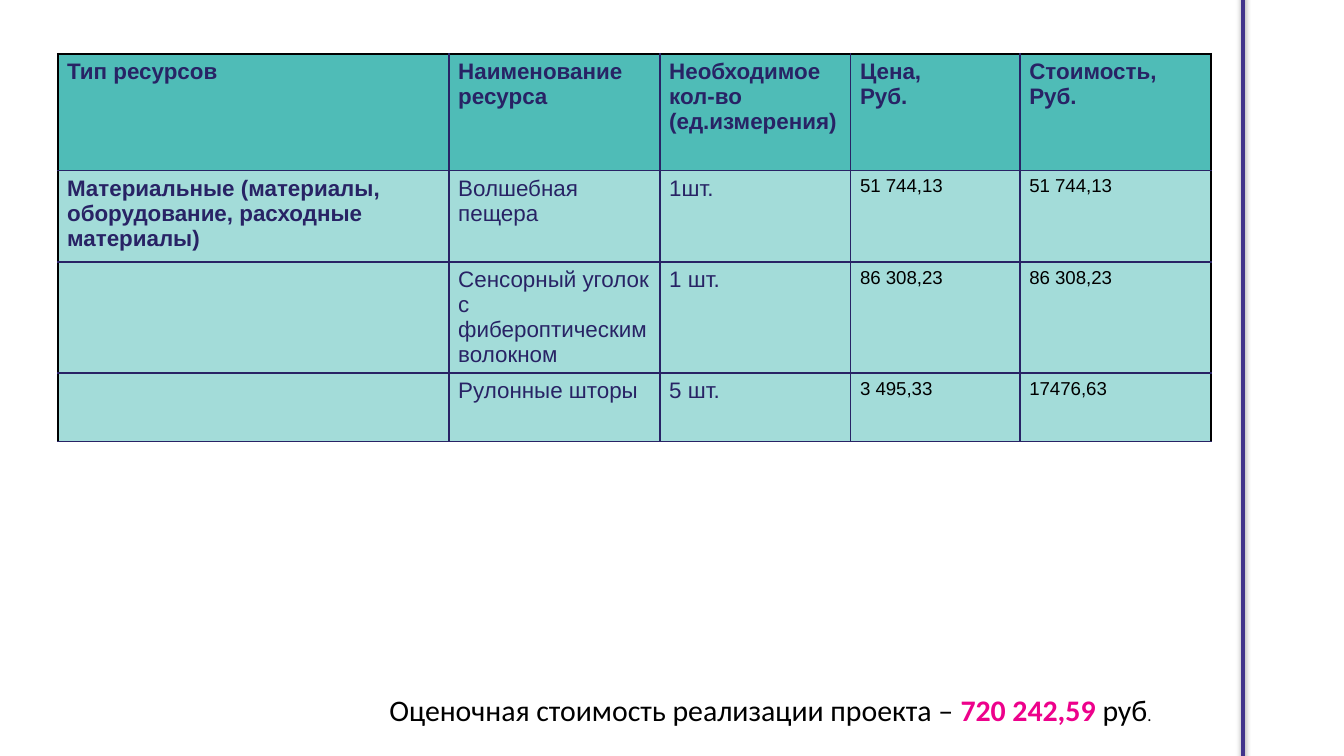
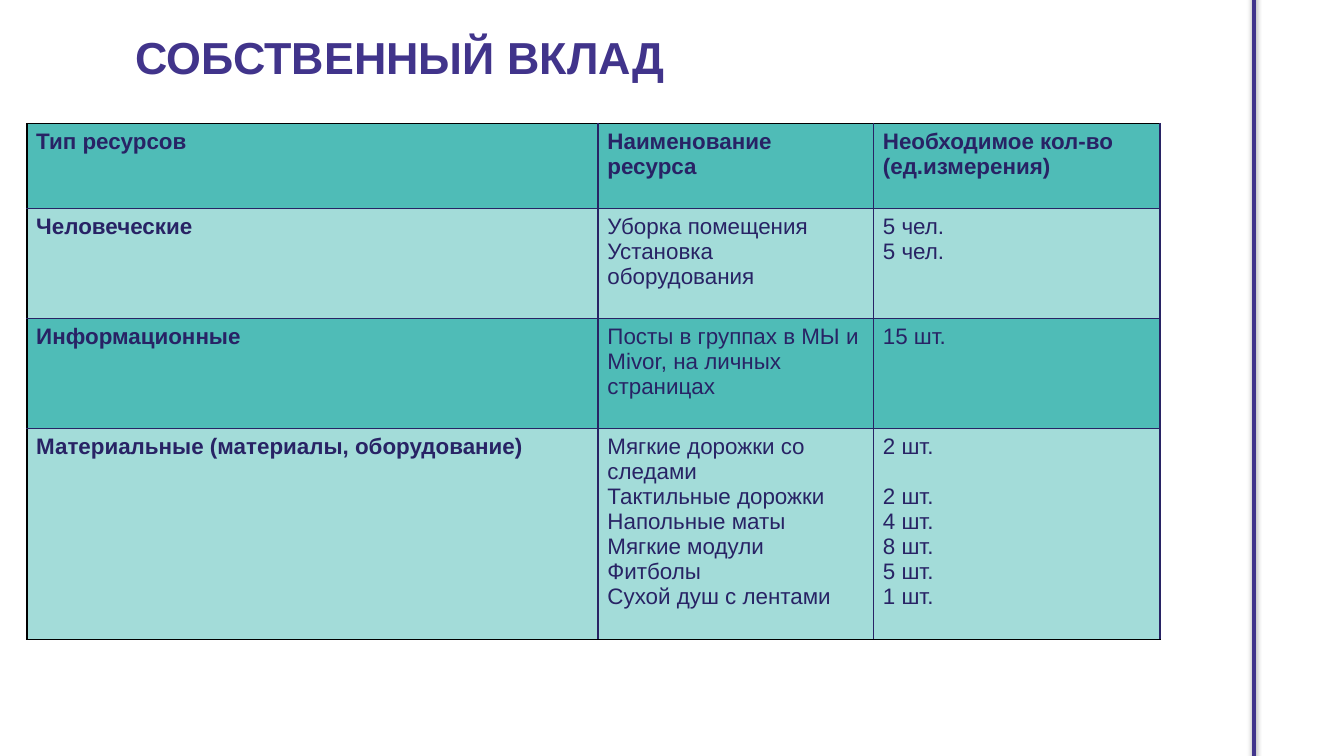
import lxml.etree
import pptx
import pptx.dml.color
import pptx.enum.shapes
import pptx.enum.text
import pptx.oxml.ns
import pptx.util

Inches = pptx.util.Inches
Pt = pptx.util.Pt

SLIDE_WIDTH = 10
SLIDE_HEIGHT = SLIDE_WIDTH * 9 / 16

INDIGO, NAVY, BLACK, WHITE, PINK = "41348B", "282365", "000000", "FFFFFF", "ED018B"
TEAL, PALE_TEAL = "4FBCB7", "A3DCD9"
HEADING = {"name": "Arial", "size": Pt(24), "bold": True, "color": INDIGO}
LABEL = {"name": "Arial", "size": Pt(12), "bold": True, "color": NAVY}
ENTRY = {**LABEL, "bold": False}
PRICE = {**ENTRY, "size": Pt(10), "color": BLACK}
TOTAL = {"name": "Calibri", "size": Pt(16), "bold": False, "color": BLACK}
CELL_MARGINS = {
    "margin_left": Inches(0.07), "margin_right": Inches(0.07),
    "margin_top": Inches(0.04), "margin_bottom": Inches(0.04),
}
BLANK_LINE = Pt(13.5)

COSTS = [
    ["Тип ресурсов", "Наименование ресурса", "Необходимое кол-во (ед.измерения)",
     "Цена,\nРуб.", "Стоимость,\nРуб."],
    ["Материальные (материалы, оборудование, расходные материалы)",
     "Волшебная пещера", "1шт.", "51 744,13", "51 744,13"],
    ["", "Сенсорный уголок с фибероптическим волокном", "1 шт.", "86 308,23", "86 308,23"],
    ["", "Рулонные шторы", "5 шт.", "3 495,33", "17476,63"],
]
CONTRIBUTION = [
    ["Тип ресурсов", "Наименование ресурса", "Необходимое кол-во (ед.измерения)"],
    ["Человеческие", "Уборка помещения\nУстановка оборудования", "5 чел.\n5 чел."],
    ["Информационные", "Посты в группах в МЫ и Mivor, на личных страницах", "15 шт."],
    ["Материальные (материалы, оборудование)",
     "Мягкие дорожки со следами\nТактильные дорожки\nНапольные маты\n"
     "Мягкие модули\nФитболы\nСухой душ с лентами",
     "2 шт.\n2 шт.\n4 шт.\n8 шт.\n5 шт.\n1 шт."],
]


def rgb(hex_color):
    return pptx.dml.color.RGBColor.from_string(hex_color)


def apply(target, values):
    for attribute, value in values.items():
        setattr(target, attribute, value)


def add_run(paragraph, text, style):
    run = paragraph.add_run()
    run.text = text
    apply(run.font, {key: value for key, value in style.items() if key != "color"})
    run.font.color.rgb = rgb(style["color"])


def add_xml(parent, tag, **attributes):
    return lxml.etree.SubElement(parent, pptx.oxml.ns.qn(tag), attributes)


def add_side_rule(slide, x):
    """Vertical rule with a soft shadow near the right edge."""
    rule = slide.shapes.add_connector(
        pptx.enum.shapes.MSO_CONNECTOR.STRAIGHT,
        Inches(x), Inches(-0.18), Inches(x), Inches(5.78))
    rule.line.color.rgb = rgb(INDIGO)
    rule.line.width = Pt(2)
    effects = add_xml(rule._element.spPr, "a:effectLst")
    shadow = add_xml(effects, "a:outerShdw", blurRad=str(Pt(3.1)), dist=str(Pt(1.6)),
                     dir="5400000", rotWithShape="0")
    add_xml(add_xml(shadow, "a:srgbClr", val=BLACK), "a:alpha", val="38000")


def draw_borders(cell, black_sides):
    properties = cell._tc.get_or_add_tcPr()
    for side in "LRTB":
        border = add_xml(properties, f"a:ln{side}", w=str(Pt(1)))
        color = BLACK if side in black_sides else NAVY
        add_xml(add_xml(border, "a:solidFill"), "a:srgbClr", val=color)


def cell_style(row, column):
    if row == 0 or column == 0:
        return LABEL
    return PRICE if column >= 3 else ENTRY


def add_resource_table(slide, left, top, widths, heights, texts, black_edges, teal_rows):
    """Table whose outer sides named in black_edges are black."""
    last_row, last_column = len(heights) - 1, len(widths) - 1
    table = slide.shapes.add_table(
        len(heights), len(widths), Inches(left), Inches(top),
        Inches(sum(widths)), Inches(sum(heights))).table
    apply(table, {"first_row": False, "horz_banding": False})
    for column, width in zip(table.columns, widths):
        column.width = Inches(width)
    for row, height in zip(table.rows, heights):
        row.height = Inches(height)
    for r, row_texts in enumerate(texts):
        for c, text in enumerate(row_texts):
            cell = table.cell(r, c)
            outer = {"L": c == 0, "R": c == last_column, "T": r == 0, "B": r == last_row}
            draw_borders(cell, [side for side in black_edges if outer[side]])
            apply(cell, CELL_MARGINS)
            cell.fill.solid()
            cell.fill.fore_color.rgb = rgb(TEAL if r in teal_rows else PALE_TEAL)
            if text:
                frame = cell.text_frame
                for i, line in enumerate(text.split("\n")):
                    paragraph = frame.add_paragraph() if i else frame.paragraphs[0]
                    add_run(paragraph, line, cell_style(r, c))
    return table


def add_heading(slide, left, top, width, height):
    heading = slide.shapes.title
    apply(heading, {"left": Inches(left), "top": Inches(top),
                    "width": Inches(width), "height": Inches(height)})
    heading.fill.solid()
    heading.fill.fore_color.rgb = rgb(WHITE)
    apply(heading.text_frame, {
        "word_wrap": True, "auto_size": pptx.enum.text.MSO_AUTO_SIZE.NONE,
        "vertical_anchor": pptx.enum.text.MSO_ANCHOR.TOP})
    paragraph = heading.text_frame.paragraphs[0]
    paragraph.alignment = pptx.enum.text.PP_ALIGN.LEFT
    add_run(paragraph, "СОБСТВЕННЫЙ ВКЛАД", HEADING)


def add_total(slide, left, top, width, height):
    total = slide.shapes.add_textbox(Inches(left), Inches(top), Inches(width), Inches(height))
    total.text_frame.word_wrap = True
    paragraph = total.text_frame.paragraphs[0]
    add_run(paragraph, "Оценочная стоимость реализации проекта – ", TOTAL)
    add_run(paragraph, "720 242,59 ", {**TOTAL, "bold": True, "color": PINK})
    add_run(paragraph, "руб", TOTAL)
    add_run(paragraph, ".", {**TOTAL, "size": Pt(9)})


def build_costs(deck):
    slide = deck.slides.add_slide(deck.slide_layouts[6])
    add_side_rule(slide, 9.25)
    add_resource_table(slide, 0.43, 0.4, [2.91, 1.57, 1.42, 1.26, 1.42],
                       [0.87, 0.68, 0.82, 0.51], COSTS, "LTR", {0})
    add_total(slide, 2.8, 5.1, 6.46, 0.37)


def build_contribution(deck):
    slide = deck.slides.add_slide(deck.slide_layouts[5])
    table = add_resource_table(slide, 0.2, 0.92, [4.25, 2.05, 2.13],
                               [0.63, 0.82, 0.82, 1.57], CONTRIBUTION, "LTB", {0, 2})
    # The first item wraps to two lines, so its quantity takes two as well.
    table.cell(3, 2).text_frame.paragraphs[1].space_before = BLANK_LINE
    add_heading(slide, 0.91, 0.17, 6.67, 0.56)
    add_side_rule(slide, 9.33)


def main():
    deck = pptx.Presentation()
    apply(deck, {"slide_width": Inches(SLIDE_WIDTH), "slide_height": Inches(SLIDE_HEIGHT)})
    build_costs(deck)
    build_contribution(deck)
    deck.save("out.pptx")


if __name__ == "__main__":
    main()
